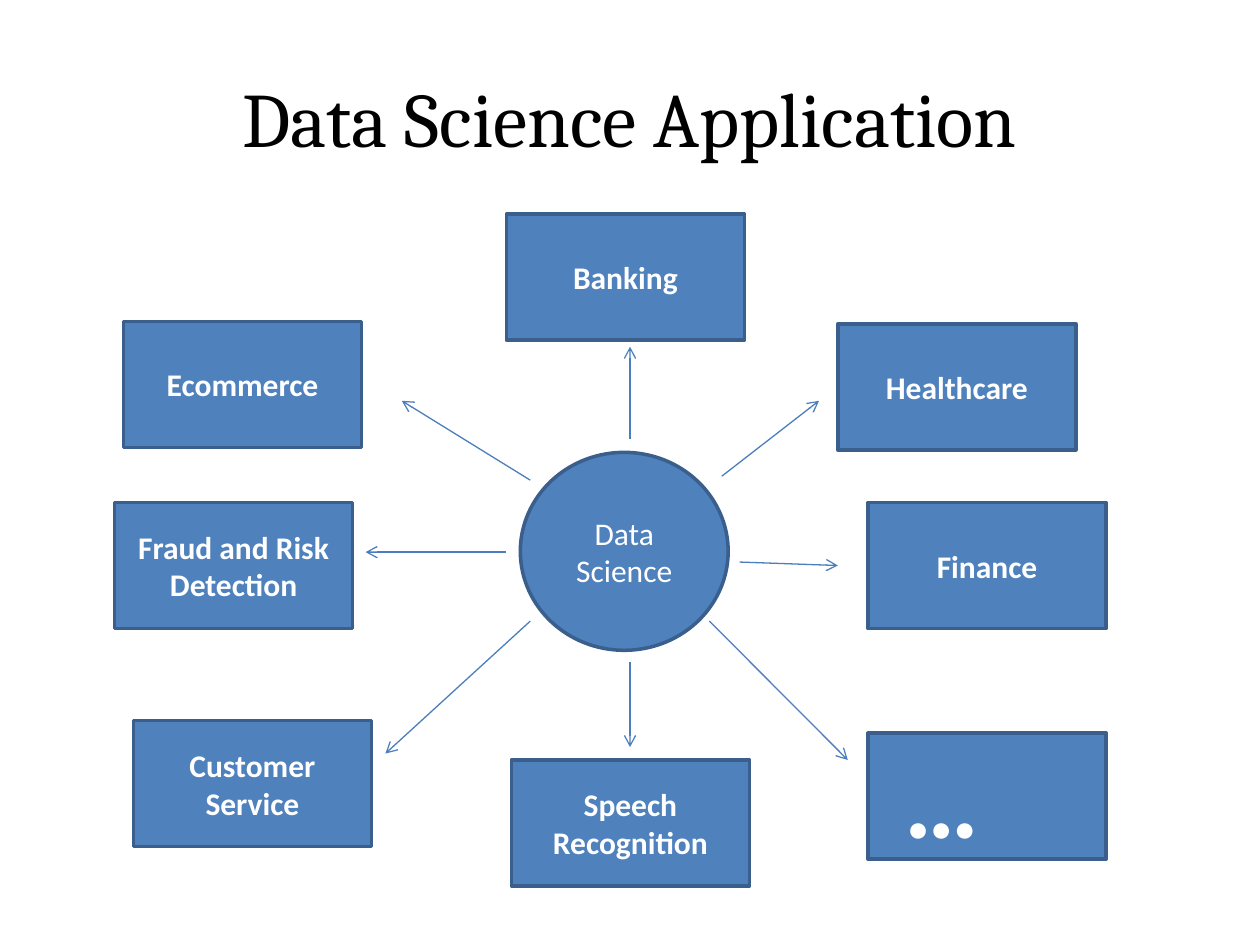
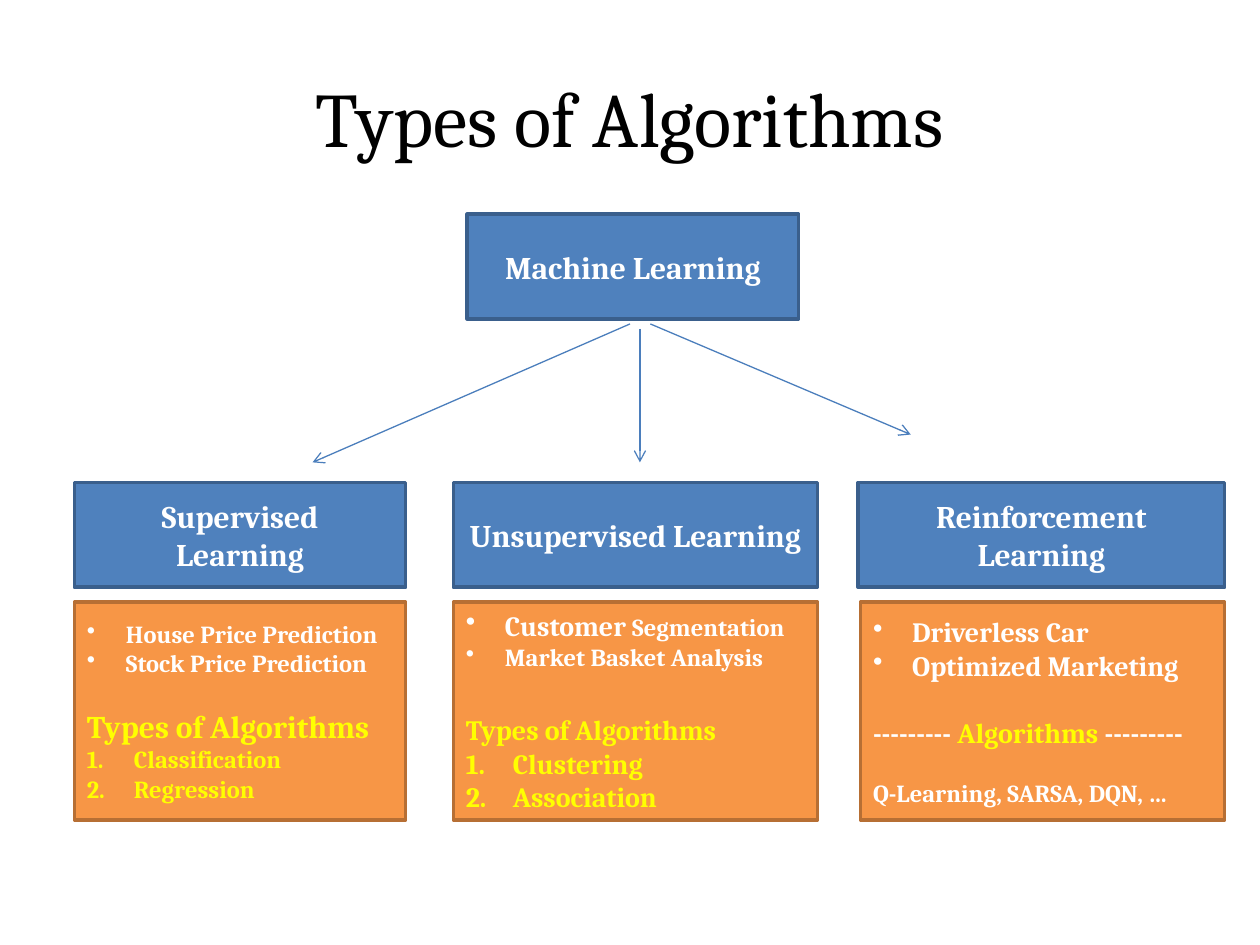
from lxml.etree import SubElement
from pptx import Presentation
from pptx.dml.color import RGBColor
from pptx.enum.shapes import MSO_CONNECTOR, MSO_SHAPE
from pptx.enum.text import MSO_ANCHOR, PP_ALIGN
from pptx.oxml.ns import qn
from pptx.util import Cm, Pt

BLUE = RGBColor(0x4F, 0x81, 0xBD)
BLUE_EDGE = RGBColor(0x3A, 0x5F, 0x8C)
ORANGE = RGBColor(0xF7, 0x96, 0x46)
ORANGE_EDGE = RGBColor(0xB7, 0x6F, 0x34)
ARROW = RGBColor(0x4B, 0x7E, 0xBC)
WHITE = RGBColor(0xFF, 0xFF, 0xFF)
YELLOW = RGBColor(0xFF, 0xFF, 0x00)
BLACK = RGBColor(0, 0, 0)

BODY_FONT = "Calibri"
SERIF_FONT = "Cambria"

# List kind: bullet tag, its attributes, hanging indent in cm
LISTS = {
    "bullet": ("a:buChar", {"char": "•"}, 0.79),
    "number": ("a:buAutoNum", {"type": "arabicPeriod"}, 0.95),
}

APPLICATION_SIZE = (4.8, 2.54)
APPLICATIONS = [
    ("Banking", 10.21, 4.32),
    ("Healthcare", 16.89, 6.53),
    ("Finance", 17.5, 10.13),
    ("Speech Recognition", 10.31, 15.32),
    ("Customer Service", 2.69, 14.53),
    ("Fraud and Risk Detection", 2.31, 10.13),
    ("Ecommerce", 2.49, 6.48),
]
APPLICATION_ARROWS = [
    ((12.7, 8.84), (12.7, 6.99)),
    ((14.55, 9.6), (16.51, 8.08)),
    ((14.91, 11.33), (16.89, 11.4)),
    ((14.3, 12.52), (17.09, 15.32)),
    ((12.7, 13.34), (12.7, 15.06)),
    ((10.69, 12.52), (7.77, 15.19)),
    ((10.21, 11.13), (7.37, 11.13)),
    ((10.69, 9.68), (8.1, 8.08)),
]

BRANCH_TOP, BRANCH_HEIGHT = 9.73, 2.11
CARD_TOP, CARD_HEIGHT = 12.14, 4.39
BRANCH_ARROWS = [
    ((12.7, 6.53), (6.3, 9.32)),
    ((12.9, 6.63), (12.9, 9.32)),
    ((13.11, 6.53), (18.36, 8.76)),
]
# Heading lines, left, width, card left, card width
BRANCHES = [
    (["Supervised", "Learning"], 1.5, 6.68, 1.5, 6.68),
    (["Unsupervised Learning"], 9.14, 7.34, 9.14, 7.34),
    (["Reinforcement", "Learning"], 17.3, 7.39, 17.35, 7.34),
]
# Each paragraph: list kind, space before in points, runs of (text, size, colour)
CARDS = [
    [
        ("bullet", 0, [("House Price Prediction", 14, WHITE)]),
        ("bullet", 0, [("Stock Price Prediction", 14, WHITE)]),
        (None, 16.5, [("Types of Algorithms", 18, YELLOW)]),
        ("number", 0, [("Classification", 14, YELLOW)]),
        ("number", 0, [("Regression", 14, YELLOW)]),
    ],
    [
        ("bullet", 0, [("Customer ", 16, WHITE), ("Segmentation", 14, WHITE)]),
        ("bullet", 0, [("Market Basket Analysis", 14, WHITE)]),
        (None, 23.5, [("Types of Algorithms", 16, YELLOW)]),
        ("number", 0, [("Clustering", 16, YELLOW)]),
        ("number", 0, [("Association", 16, YELLOW)]),
    ],
    [
        ("bullet", 0, [("Driverless Car", 16, WHITE)]),
        ("bullet", 0, [("Optimized Marketing", 16, WHITE)]),
        (None, 19, [("--------- ", 16, WHITE), ("Algorithms ", 16, YELLOW),
                    ("---------", 16, WHITE)]),
        (None, 16.5, [("Q-Learning, SARSA, DQN, …", 14, WHITE)]),
    ],
]


def add_run(p, text, size, color, font, bold=False):
    r = p.add_run()
    r.text = text
    formats = {"size": Pt(size), "name": font, "bold": bold}
    for name, value in formats.items():
        setattr(r.font, name, value)
    r.font.color.rgb = color


def add_titled_slide(prs, title):
    s = prs.slides.add_slide(prs.slide_layouts[5])
    sp = s.shapes.title
    place = {"left": 1.27, "top": 0.76, "width": 22.86, "height": 3.18}
    for name, value in place.items():
        setattr(sp, name, Cm(value))
    tf = sp.text_frame
    tf.vertical_anchor = MSO_ANCHOR.MIDDLE
    p = tf.paragraphs[0]
    p.alignment = PP_ALIGN.CENTER
    add_run(p, title, 44, BLACK, SERIF_FONT)
    return s


def add_panel(s, box, fill=BLUE, edge=BLUE_EDGE, kind=MSO_SHAPE.RECTANGLE):
    """Add a filled, outlined shape and return its empty text frame."""
    sp = s.shapes.add_shape(kind, *map(Cm, box))
    sp.shadow.inherit = False
    sp.fill.solid()
    sp.fill.fore_color.rgb = fill
    sp.line.color.rgb = edge
    sp.line.width = Pt(2)
    tf = sp.text_frame
    tf.word_wrap = True
    tf.vertical_anchor = MSO_ANCHOR.MIDDLE
    return tf


def next_paragraph(tf, index):
    return tf.add_paragraph() if index else tf.paragraphs[0]


def add_label(s, box, lines, font=BODY_FONT, bold=True, kind=MSO_SHAPE.RECTANGLE):
    tf = add_panel(s, box, kind=kind)
    for i, line in enumerate(lines):
        p = next_paragraph(tf, i)
        p.alignment = PP_ALIGN.CENTER
        add_run(p, line, 18, WHITE, font, bold)


def add_more_box(s, box):
    """Add the box whose large dots stand for further applications."""
    tf = add_panel(s, box)
    tf.margin_left = Cm(0.73)
    p = tf.paragraphs[0]
    p.alignment = PP_ALIGN.LEFT
    add_run(p, "…", 60, WHITE, BODY_FONT, True)


def set_list(p, kind):
    tag, attributes, indent = LISTS[kind]
    pPr = p._p.get_or_add_pPr()
    pPr.set("marL", str(Cm(indent)))
    pPr.set("indent", str(-Cm(indent)))
    SubElement(pPr, qn(tag), attributes)


def add_card(s, box, paragraphs):
    tf = add_panel(s, box, ORANGE, ORANGE_EDGE)
    for i, (kind, space, runs) in enumerate(paragraphs):
        p = next_paragraph(tf, i)
        p.alignment = PP_ALIGN.LEFT
        p.space_before = Pt(space)
        if kind:
            set_list(p, kind)
        for text, size, color in runs:
            add_run(p, text, size, color, SERIF_FONT, True)


def add_arrow(s, start, end):
    c = s.shapes.add_connector(MSO_CONNECTOR.STRAIGHT, *map(Cm, start + end))
    c.line.color.rgb = ARROW
    c.line.width = Pt(0.75)
    SubElement(c.line._get_or_add_ln(), qn("a:tailEnd"), {"type": "arrow"})
    SubElement(c._element.spPr, qn("a:effectLst"))


def build_applications(prs):
    s = add_titled_slide(prs, "Data Science Application")
    add_label(s, (10.49, 9.12, 4.19, 3.99), ["Data Science"],
              bold=False, kind=MSO_SHAPE.OVAL)
    for name, left, top in APPLICATIONS:
        add_label(s, (left, top, *APPLICATION_SIZE), [name])
    add_more_box(s, (17.5, 14.78, *APPLICATION_SIZE))
    for start, end in APPLICATION_ARROWS:
        add_arrow(s, start, end)


def build_algorithms(prs):
    s = add_titled_slide(prs, "Types of Algorithms")
    add_label(s, (9.42, 4.32, 6.68, BRANCH_HEIGHT), ["Machine Learning"], SERIF_FONT)
    for start, end in BRANCH_ARROWS:
        add_arrow(s, start, end)
    for (lines, left, width, card_left, card_width), card in zip(BRANCHES, CARDS):
        add_label(s, (left, BRANCH_TOP, width, BRANCH_HEIGHT), lines, SERIF_FONT)
        add_card(s, (card_left, CARD_TOP, card_width, CARD_HEIGHT), card)


def main():
    prs = Presentation()
    prs.slide_width, prs.slide_height = Cm(25.4), Cm(19.05)
    build_applications(prs)
    build_algorithms(prs)
    prs.save("out.pptx")


if __name__ == "__main__":
    main()
